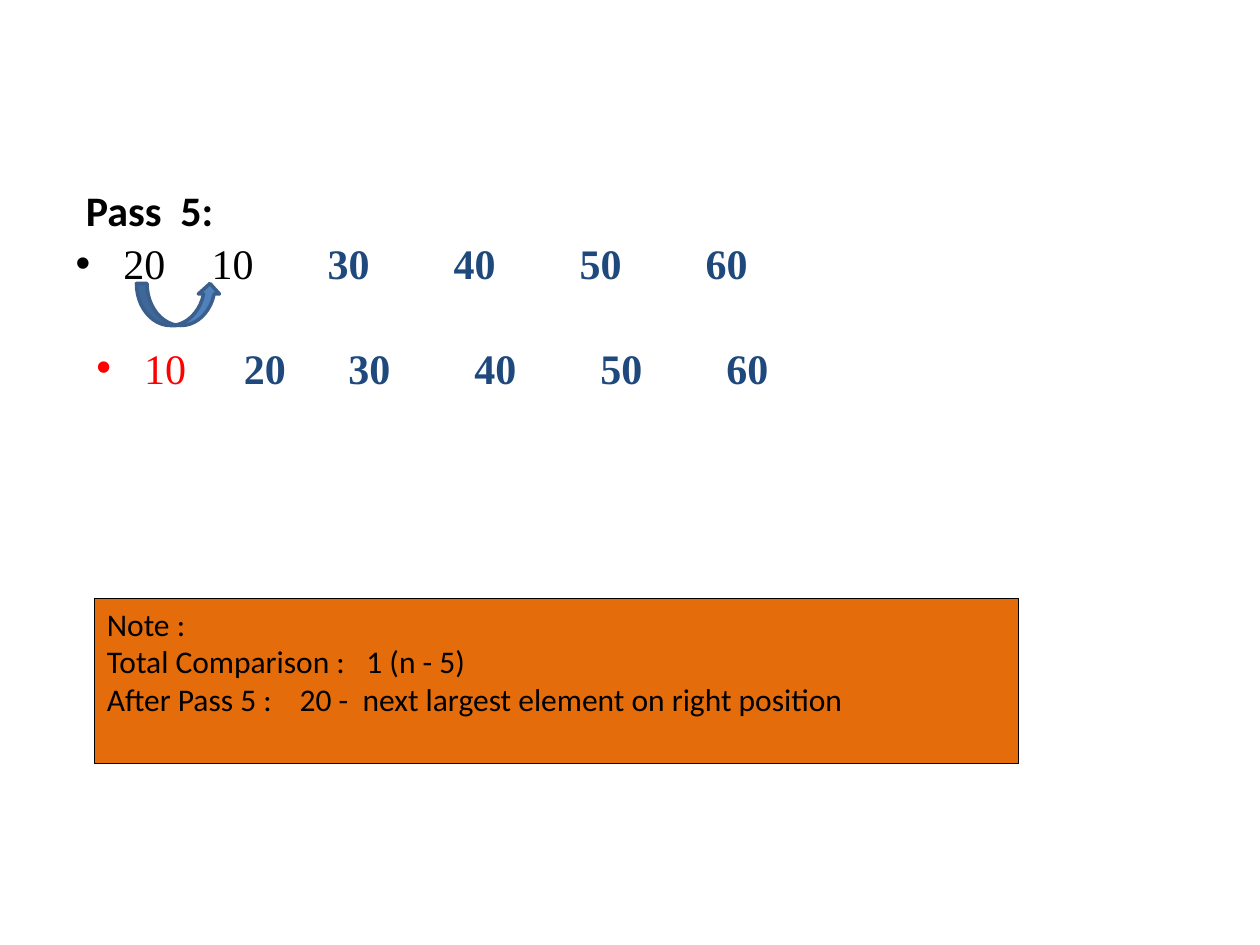
from dataclasses import dataclass

from pptx import Presentation
from pptx.dml.color import RGBColor
from pptx.enum.shapes import MSO_SHAPE
from pptx.enum.text import MSO_ANCHOR, MSO_AUTO_SIZE, PP_ALIGN
from pptx.oxml.ns import qn
from pptx.util import Inches, Pt
from lxml.etree import SubElement


@dataclass(frozen=True)
class Theme:
    heading_font: str = "Calibri"
    number_font: str = "Times New Roman"
    bullet_font: str = "Arial"
    large: int = 24
    medium: int = 18
    ink: str = "000000"
    sorted_ink: str = "1F497D"
    settled_ink: str = "FF0000"
    arrow_fill: str = "4F81BD"
    arrow_line: str = "3A5F8C"
    note_fill: str = "E46C0A"


class PassSlide:
    columns = 120
    rows = 90
    indent = 0.38

    def __init__(self, deck, theme):
        self.deck = deck
        self.theme = theme
        self.page = deck.slides.add_slide(deck.slide_layouts[1])
        title = self.page.shapes.title
        title.element.getparent().remove(title.element)

    def area(self, column, row, width, height):
        across = self.deck.slide_width / self.columns
        down = self.deck.slide_height / self.rows
        return [round(share) for share in
                (column * across, row * down, width * across, height * down)]

    def prepare(self, box):
        frame = box.text_frame
        settings = {"word_wrap": True, "auto_size": MSO_AUTO_SIZE.NONE,
                    "vertical_anchor": MSO_ANCHOR.TOP}
        for name, value in settings.items():
            setattr(frame, name, value)
        return frame

    def tabs(self, para, stops):
        tab_list = SubElement(para._p.get_or_add_pPr(), qn("a:tabLst"))
        for stop in stops:
            SubElement(tab_list, qn("a:tab"), pos=str(Inches(stop)), algn="l")

    def add_span(self, para, text, color, **formats):
        span = para.add_run()
        span.text = text
        for name, value in formats.items():
            setattr(span.font, name, value)
        span.font.color.rgb = RGBColor.from_string(color)

    def heading(self, text, stops, place):
        para = self.prepare(self.textbox(place)).paragraphs[0]
        self.tabs(para, stops)
        self.add_span(para, text, self.theme.ink, name=self.theme.heading_font,
                      size=Pt(self.theme.large), bold=True)

    def body(self, place):
        box = self.page.placeholders[1]
        for name, value in zip(("left", "top", "width", "height"), self.area(*place)):
            setattr(box, name, value)
        return box

    def textbox(self, place):
        return self.page.shapes.add_textbox(*self.area(*place))

    def numbers(self, box, spans, first_stop):
        para = self.prepare(box).paragraphs[0]
        properties = para._p.get_or_add_pPr()
        properties.set("marL", str(Inches(self.indent)))
        properties.set("indent", str(-Inches(self.indent)))
        SubElement(properties, qn("a:buFont"), typeface=self.theme.bullet_font)
        SubElement(properties, qn("a:buChar"), char="•")
        self.tabs(para, [first_stop, 2, 3, 4, 5])
        para.space_before = Pt(0)
        for text, color, bold in spans:
            self.add_span(para, text, color, name=self.theme.number_font,
                          size=Pt(self.theme.large), bold=bold)

    def shape(self, kind, place, fill, line, weight):
        box = self.page.shapes.add_shape(kind, *self.area(*place))
        box.shadow.inherit = False
        box.fill.solid()
        box.fill.fore_color.rgb = RGBColor.from_string(fill)
        box.line.color.rgb = RGBColor.from_string(line)
        box.line.width = Pt(weight)
        return box

    def swap_arrow(self, place):
        self.shape(MSO_SHAPE.CURVED_UP_ARROW, place,
                   self.theme.arrow_fill, self.theme.arrow_line, 2)

    def note(self, lines, place):
        box = self.shape(MSO_SHAPE.RECTANGLE, place, self.theme.note_fill, self.theme.ink, 0.75)
        frame = self.prepare(box)
        for index, (text, stops) in enumerate(lines):
            para = frame.add_paragraph() if index else frame.paragraphs[0]
            para.alignment = PP_ALIGN.LEFT
            if stops:
                self.tabs(para, stops)
            self.add_span(para, text, self.theme.ink, name=self.theme.heading_font,
                          size=Pt(self.theme.medium))


def main():
    deck = Presentation()
    deck.slide_width, deck.slide_height = Inches(10), Inches(7.5)
    theme = Theme()
    page = PassSlide(deck, theme)
    page.numbers(page.body((6, 22, 108, 6)),
                 [("20\t10\t", theme.ink, False),
                  ("30\t40\t50\t60", theme.sorted_ink, True)], 1.08)
    page.swap_arrow((13, 27, 8, 4))
    page.heading("Pass\t5:", [0.75], (7, 17, 20, 6))
    page.numbers(page.textbox((8, 32, 108, 6)),
                 [("10\t", theme.settled_ink, False),
                  ("20\t30\t40\t50\t60", theme.sorted_ink, True)], 1.17)
    page.note([("Note :", []),
               ("Total Comparison :\t1 (n - 5)", [2.06]),
               ("After Pass 5 :\t20 -\tnext largest element on right position", [1.53, 2.03])],
              (9, 57, 88, 15.75))
    deck.save("out.pptx")


if __name__ == "__main__":
    main()
